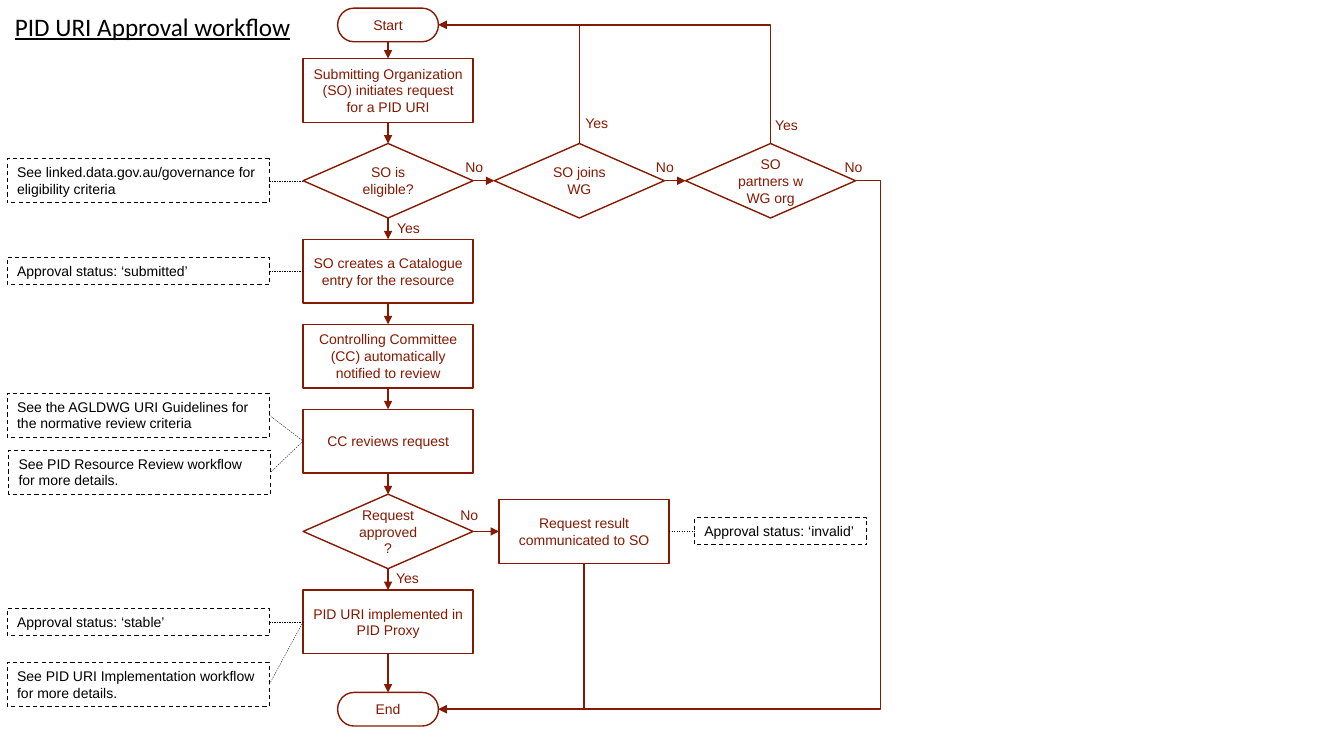
from dataclasses import dataclass
from itertools import pairwise

from pptx import Presentation
from pptx.dml.color import RGBColor
from pptx.enum.dml import MSO_LINE
from pptx.enum.shapes import MSO_CONNECTOR, MSO_SHAPE
from pptx.enum.text import MSO_ANCHOR, PP_ALIGN
from pptx.oxml.ns import qn
from pptx.util import Pt
from lxml.etree import SubElement


@dataclass(frozen=True)
class Theme:
    flow: RGBColor = RGBColor(0x85, 0x19, 0x02)
    ink: RGBColor = RGBColor(0, 0, 0)
    paper: RGBColor = RGBColor(255, 255, 255)
    body_font: str = "Arial"
    title_font: str = "Calibri"
    body_size: float = 10
    title_size: float = 18
    flow_line: float = 1
    note_line: float = 0.75
    link_line: float = 0.25


THEME = Theme()
TOP, LEFT, BOTTOM, RIGHT = range(4)
PROCESS = MSO_SHAPE.FLOWCHART_PROCESS
DECISION = MSO_SHAPE.FLOWCHART_DECISION
TERMINATOR = MSO_SHAPE.FLOWCHART_TERMINATOR
NODE_SIZES = {PROCESS: (121.4, 45.5), DECISION: (121.4, 53.2), TERMINATOR: (72, 24)}

MAIN_X = 277.2
COLUMN_PITCH = 136.6
ROW_GAP = 15.2
FIRST_STEP_TOP = 41.8
START_Y, END_Y = 17.8, 506.6
RESULT_X = 417.2
NOTE_LEFT, NOTE_WIDTH = 5.2, 187.2
LINE_HEIGHT, NOTE_PADDING = 12.1, 7.3

STEPS = [
    (PROCESS, "Submitting Organization (SO) initiates request for a PID URI"),
    (DECISION, "SO is eligible?"),
    (PROCESS, "SO creates a Catalogue entry for the resource"),
    (PROCESS, "Controlling Committee (CC) automatically notified to review"),
    (PROCESS, "CC reviews request"),
    (DECISION, "Request approved?"),
    (PROCESS, "PID URI implemented in PID Proxy"),
]
LABELS = [
    ("No", 325.4, 109.4), ("No", 461.5, 109.4), ("No", 596.2, 109.4),
    ("Yes", 411.1, 78.5), ("Yes", 546.5, 79.9), ("Yes", 276.5, 153.4),
    ("Yes", 275.8, 403.2), ("No", 321.8, 358.6),
]


def write_text(shape, text, *, color=THEME.flow, size=THEME.body_size, font=THEME.body_font,
               align=PP_ALIGN.LEFT, anchor=MSO_ANCHOR.TOP, wrap=True, underline=False):
    frame = shape.text_frame
    frame.word_wrap = wrap
    frame.vertical_anchor = anchor
    para = frame.paragraphs[0]
    para.alignment = align
    span = para.add_run()
    span.text = text
    span.font.name = font
    span.font.size = Pt(size)
    span.font.color.rgb = color
    span.font.underline = underline


def add_node(page, kind, text, center_x, center_y):
    width, height = NODE_SIZES[kind]
    node = page.shapes.add_shape(kind, Pt(center_x - width / 2), Pt(center_y - height / 2),
                                 Pt(width), Pt(height))
    node.shadow.inherit = False
    node.fill.solid()
    node.fill.fore_color.rgb = THEME.paper
    node.line.color.rgb = THEME.flow
    node.line.width = Pt(THEME.flow_line)
    write_text(node, text, align=PP_ALIGN.CENTER, anchor=MSO_ANCHOR.MIDDLE)
    return node


def add_note(page, text, center_y, lines=1, left=NOTE_LEFT, width=NOTE_WIDTH):
    height = lines * LINE_HEIGHT + NOTE_PADDING
    note = page.shapes.add_shape(MSO_SHAPE.RECTANGLE, Pt(left), Pt(center_y - height / 2),
                                 Pt(width), Pt(height))
    note.shadow.inherit = False
    note.fill.background()
    note.line.color.rgb = THEME.ink
    note.line.width = Pt(THEME.note_line)
    note.line.dash_style = MSO_LINE.DASH
    write_text(note, text, color=THEME.ink)
    return note


def add_text(page, text, left, top, width, height, **text_format):
    box = page.shapes.add_textbox(Pt(left), Pt(top), Pt(width), Pt(height))
    write_text(box, text, **text_format)


def style_connector(connector, *, arrow):
    line = connector.line
    line.color.rgb = THEME.flow if arrow else THEME.ink
    line.width = Pt(THEME.flow_line if arrow else THEME.link_line)
    if arrow:
        SubElement(connector.element.spPr.find(qn("a:ln")), qn("a:tailEnd"), type="triangle")
    else:
        line.dash_style = MSO_LINE.DASH
    SubElement(connector.element.spPr, qn("a:effectLst"))


def join(page, source, source_side, target, target_side, arrow=True):
    connector = page.shapes.add_connector(MSO_CONNECTOR.STRAIGHT, 0, 0, 0, 0)
    connector.begin_connect(source, source_side)
    connector.end_connect(target, target_side)
    style_connector(connector, arrow=arrow)


def add_elbow(page, start, end):
    (start_x, start_y), (end_x, end_y) = start, end
    connector = page.shapes.add_connector(MSO_CONNECTOR.ELBOW, Pt(start_x), Pt(start_y),
                                          Pt(end_x), Pt(end_y))
    style_connector(connector, arrow=True)
    return connector


def add_corner(page, start, end):
    """Arrow that runs vertically from start, then turns left to end."""
    (start_x, start_y), (end_x, end_y) = start, end
    middle_x, middle_y = (start_x + end_x) / 2, (start_y + end_y) / 2
    half_rise, half_run = abs(end_y - start_y) / 2, (start_x - end_x) / 2
    direction = 1 if end_y > start_y else -1
    connector = add_elbow(page, (middle_x - half_rise, middle_y - direction * half_run),
                          (middle_x + half_rise, middle_y + direction * half_run))
    properties = connector.element.spPr
    properties.find(qn("a:xfrm")).set("rot", str((90 if direction > 0 else 270) * 60000))
    properties.find(qn("a:prstGeom")).set("prst", "bentConnector2")


def add_detour(page, start, end, overhang):
    """Arrow that passes start by overhang before it turns back to end."""
    connector = add_elbow(page, start, end)
    share = -overhang / (start[0] - end[0])
    guides = connector.element.spPr.find(qn("a:prstGeom")).get_or_add_avLst()
    SubElement(guides, qn("a:gd"), name="adj1", fmla=f"val {round(share * 100000)}")


def main():
    deck = Presentation()
    deck.slide_width, deck.slide_height = Pt(960), Pt(540)
    page = deck.slides.add_slide(deck.slide_layouts[6])
    add_text(page, "PID URI Approval workflow", 3.6, 4.3, 213, 29, color=THEME.ink,
             size=THEME.title_size, font=THEME.title_font, wrap=False, underline=True)

    rows, nodes = [], []
    top = FIRST_STEP_TOP
    for kind, text in STEPS:
        height = NODE_SIZES[kind][1]
        rows.append(top + height / 2)
        nodes.append(add_node(page, kind, text, MAIN_X, rows[-1]))
        top += height + ROW_GAP
    _, eligible, catalogue, _, review, approved, implemented = nodes
    _, eligible_y, catalogue_y, _, _, approved_y, implemented_y = rows

    start = add_node(page, TERMINATOR, "Start", MAIN_X, START_Y)
    end = add_node(page, TERMINATOR, "End", MAIN_X, END_Y)
    for upper, lower in pairwise([start, *nodes, end]):
        join(page, upper, BOTTOM, lower, TOP)

    joins_x, partners_x = MAIN_X + COLUMN_PITCH, MAIN_X + 2 * COLUMN_PITCH
    joins = add_node(page, DECISION, "SO joins WG", joins_x, eligible_y)
    partners = add_node(page, DECISION, "SO partners w WG org", partners_x, eligible_y)
    result = add_node(page, PROCESS, "Request result communicated to SO", RESULT_X, approved_y)
    for source, target in [(eligible, joins), (joins, partners), (approved, result)]:
        join(page, source, RIGHT, target, LEFT)

    decision_width, decision_height = NODE_SIZES[DECISION]
    terminator_right = MAIN_X + NODE_SIZES[TERMINATOR][0] / 2
    for center_x in (joins_x, partners_x):
        add_corner(page, (center_x, eligible_y - decision_height / 2), (terminator_right, START_Y))
    add_corner(page, (RESULT_X, approved_y + NODE_SIZES[PROCESS][1] / 2), (terminator_right, END_Y))
    add_detour(page, (partners_x + decision_width / 2, eligible_y), (terminator_right, END_Y), 18)

    notes = [
        (eligible, add_note(page, "See linked.data.gov.au/governance for eligibility criteria",
                            eligible_y, lines=2)),
        (catalogue, add_note(page, "Approval status: ‘submitted’", catalogue_y)),
        (review, add_note(page, "See the AGLDWG URI Guidelines for the normative review criteria",
                          296.6, lines=2)),
        (review, add_note(page, "See PID Resource Review workflow for more details.",
                          337.3, lines=2, left=6.2)),
        (implemented, add_note(page, "Approval status: ‘stable’", implemented_y)),
        (implemented, add_note(page, "See PID URI Implementation workflow for more details.",
                               488.9, lines=2)),
    ]
    for node, note in notes:
        join(page, note, RIGHT, node, LEFT, arrow=False)
    invalid = add_note(page, "Approval status: ‘invalid’", approved_y, left=496, width=123.2)
    join(page, result, RIGHT, invalid, LEFT, arrow=False)

    for text, left, top in LABELS:
        add_text(page, text, left, top, 34.5 if text == "Yes" else 28.8, 19.4)
    deck.save("out.pptx")


if __name__ == "__main__":
    main()
